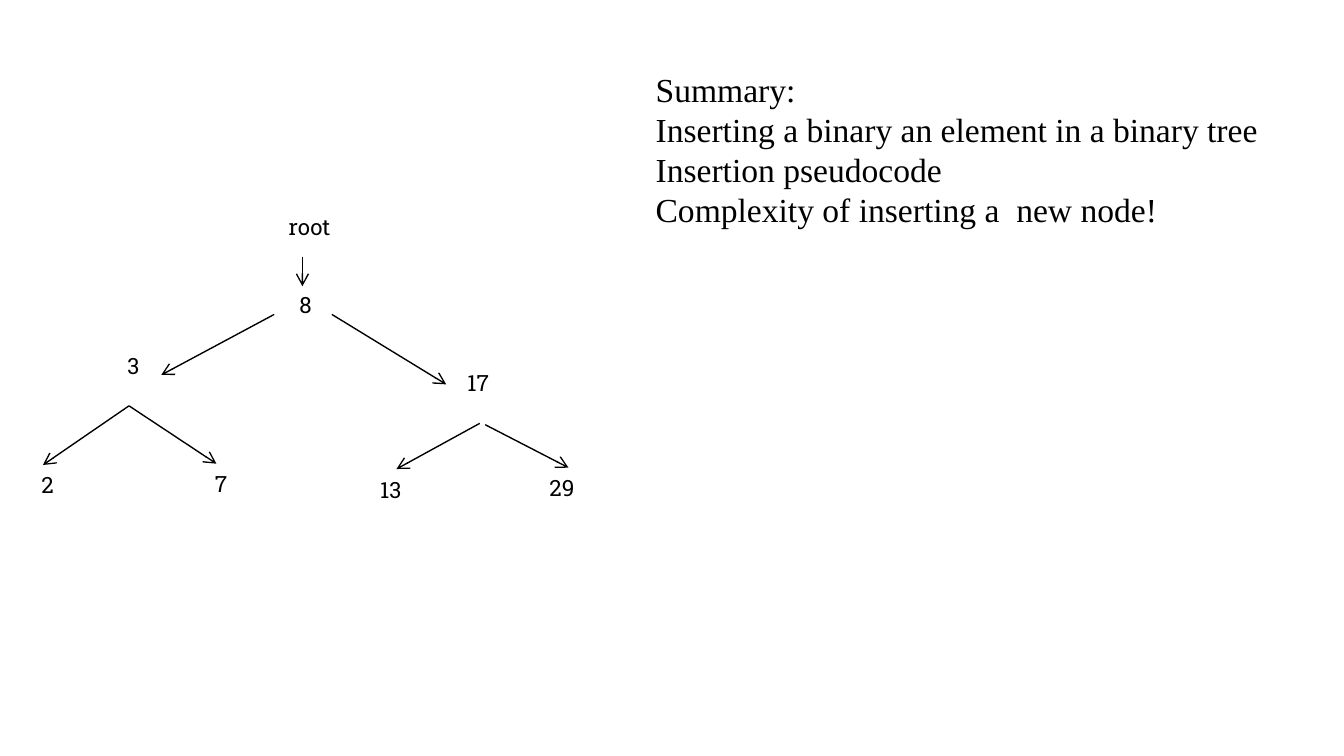
from typing import NamedTuple

from lxml import etree
from pptx import Presentation
from pptx.dml.color import RGBColor
from pptx.enum import shapes, text
from pptx.oxml.ns import qn
from pptx.util import Inches, Pt

COLORS = {"ink": "000000", "paper": "FFFFFF"}
TREE_FONT = "Roboto Slab"
SUMMARY_FONT = "Times New Roman"
SLIDE_W = 10
SLIDE_H = SLIDE_W * 9 / 16


class Label(NamedTuple):
    value: str
    x: float
    y: float
    w: float
    h: float = 0.45


class Arrow(NamedTuple):
    x1: float
    y1: float
    x2: float
    y2: float


LABELS = [
    Label("2", 0.21, 3.46, 0.21),
    Label("3", 0.85, 2.57, 0.21),
    Label("7", 1.5, 3.45, 0.21),
    Label("8", 2.13, 2.12, 0.21),
    Label("13", 2.73, 3.49, 0.43, 0.42),
    Label("17", 3.38, 2.7, 0.38),
    Label("29", 3.99, 3.48, 0.47),
    Label("root", 2.05, 1.54, 0.66),
]
ARROWS = [
    Arrow(2.25, 1.91, 2.25, 2.13),  # root to 8
    Arrow(2.04, 2.34, 1.2, 2.79),   # 8 to 3
    Arrow(2.47, 2.34, 3.32, 2.86),  # 8 to 17
    Arrow(0.96, 3.02, 0.32, 3.46),  # 3 to 2
    Arrow(0.96, 3.02, 1.61, 3.45),  # 3 to 7
    Arrow(3.57, 3.15, 2.95, 3.49),  # 17 to 13
    Arrow(3.61, 3.16, 4.23, 3.48),  # 17 to 29
]
SUMMARY = Label(
    "Summary:\n"
    "Inserting a binary an element in a binary tree\n"
    "Insertion pseudocode\n"
    "Complexity of inserting a  new node!",
    4.78, 0.46, 4.73, 1.62,
)


def color(name: str) -> RGBColor:
    return RGBColor.from_string(COLORS[name])


def add_text(s, label: Label, font: str, size: float, wrap: bool = True) -> None:
    sp = s.shapes.add_textbox(Inches(label.x), Inches(label.y),
                              Inches(label.w), Inches(label.h))
    tf = sp.text_frame
    tf.word_wrap = wrap
    tf.auto_size = text.MSO_AUTO_SIZE.NONE
    tf.text = label.value
    for p in tf.paragraphs:
        for r in p.runs:
            r.font.name = font
            r.font.size = Pt(size)
            r.font.color.rgb = color("ink")


def add_arrow(s, arrow: Arrow) -> None:
    sp = s.shapes.add_connector(shapes.MSO_CONNECTOR.STRAIGHT,
                                *(Inches(v) for v in arrow))
    sp.line.color.rgb = color("ink")
    sp.line.width = Pt(0.75)
    ln = sp._element.spPr.find(qn("a:ln"))
    etree.SubElement(ln, qn("a:tailEnd"), type="arrow")
    etree.SubElement(sp._element.spPr, qn("a:effectLst"))


def main() -> None:
    prs = Presentation()
    prs.slide_width, prs.slide_height = Inches(SLIDE_W), Inches(SLIDE_H)
    s = prs.slides.add_slide(prs.slide_layouts[6])
    s.background.fill.solid()
    s.background.fill.fore_color.rgb = color("paper")

    # Binary tree
    for label in LABELS:
        add_text(s, label, TREE_FONT, 12)
    for arrow in ARROWS:
        add_arrow(s, arrow)

    # Summary
    add_text(s, SUMMARY, SUMMARY_FONT, 18, wrap=False)

    prs.save("out.pptx")


if __name__ == "__main__":
    main()
